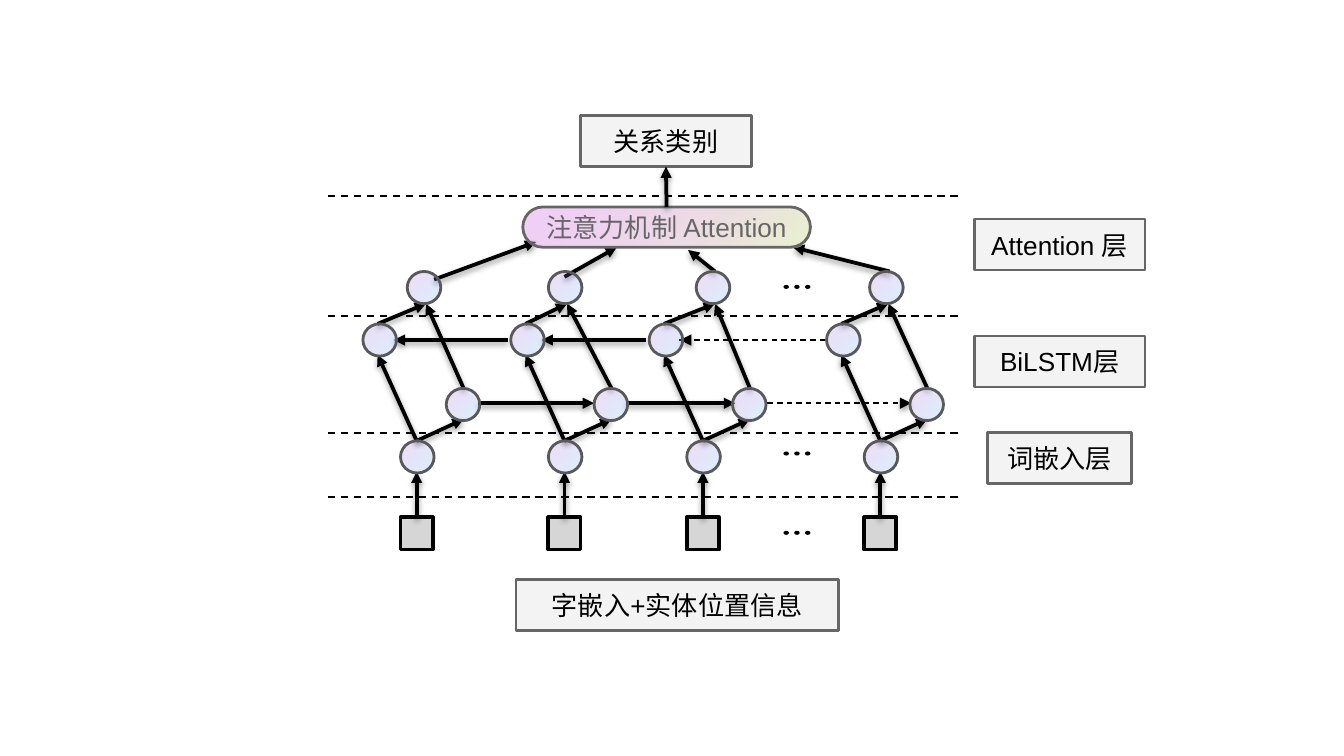
from lxml import etree
from pptx import Presentation
from pptx import util as u
from pptx.dml import color as hues
from pptx.enum import dml, shapes, text
from pptx.oxml import ns

SCALE = 9144
COLORS = {
    "ink": "000000", "token": "D6D6D6", "label": "F3F3F3", "edge": "666666",
    "ring": "595959", "sky": "69D4F4", "violet": "9F39D5",
    "lime": "E0EDBA", "pink": "DE87F1",
}
NODE_FILL = (("sky", 26), ("violet", 17))
PILL_FILL = (("lime", 71), ("pink", 40))
KINDS = shapes.MSO_SHAPE


def px(*lengths):
    """Turn px lengths into EMU."""
    return [length * SCALE for length in lengths]


def rgb(name):
    """Look up a named colour."""
    return hues.RGBColor.from_string(COLORS[name])


def child(parent, tag, **attributes):
    """Append a DrawingML element."""
    element = etree.SubElement(parent, ns.qn(f"a:{tag}"))
    for key, value in attributes.items():
        element.set(key, str(value))
    return element


def add_shape(slide, kind, box, fill, edge=None, width=1.5):
    """Add a shape with a plain colour or a two-stop translucent gradient."""
    shape = slide.shapes.add_shape(kind, *px(*box))
    shape.shadow.inherit = False
    if isinstance(fill, str):
        shape.fill.solid()
        shape.fill.fore_color.rgb = rgb(fill)
    else:
        shape.fill.gradient()
        shape.fill.gradient_angle = 135
        for stop, (name, _) in zip(shape.fill.gradient_stops, fill):
            stop.color.rgb = rgb(name)
        tints = shape.element.spPr.iter(ns.qn("a:srgbClr"))
        for tint, (_, opacity) in zip(tints, fill):
            child(tint, "alpha", val=opacity * 1000)
    if edge:
        shape.line.color.rgb = rgb(edge)
        shape.line.width = u.Pt(width)
    else:
        shape.line.fill.background()
    return shape


def add_line(slide, start, end, width=2, arrow=True):
    """Add a solid shadowed arrow or a plain dashed line."""
    line = slide.shapes.add_connector(shapes.MSO_CONNECTOR.STRAIGHT, *px(*start, *end))
    line.line.color.rgb = rgb("ink")
    line.line.width = u.Pt(width)
    properties = line.element.spPr
    if arrow:
        child(properties.find(ns.qn("a:ln")), "tailEnd", type="triangle")
    else:
        line.line.dash_style = dml.MSO_LINE.DASH
    effects = child(properties, "effectLst")
    if arrow:
        shadow = child(effects, "outerShdw", blurRad=40000, dist=20000,
                       dir=5400000, rotWithShape=0)
        child(child(shadow, "srgbClr", val=COLORS["ink"]), "alpha", val=38000)
    return line


def add_label(slide, box, wording, kind=KINDS.RECTANGLE, fill="label", color="ink"):
    """Add a framed box with one centred line of text."""
    label = add_shape(slide, kind, box, fill, "edge")
    frame = label.text_frame
    frame.word_wrap = True
    frame.vertical_anchor = text.MSO_ANCHOR.MIDDLE
    frame.margin_left = frame.margin_right = frame.margin_top = frame.margin_bottom = 10 * SCALE
    paragraph = frame.paragraphs[0]
    paragraph.alignment = text.PP_ALIGN.CENTER
    run = paragraph.add_run()
    run.text = wording
    run.font.name = "Arial"
    run.font.size = u.Pt(14)
    run.font.color.rgb = rgb(color)
    return label


def add_boundaries(slide, box):
    """Draw the dashed lines between the layers."""
    left, top, width = box
    for offset in (0, 89, 176, 224):
        y = top + offset
        add_line(slide, (left, y), (left + width, y), 1, arrow=False)


def add_chains(slide, box):
    """Draw the backward chain and, below it, the forward chain."""
    left, top = box
    backward, forward = top, top + 47
    for start, end, y in ((108, 23, backward), (211, 133, backward), (243, 236, backward),
                          (86, 172, forward), (196, 277, forward), (401, 408, forward)):
        add_line(slide, (left + start, y), (left + end, y))
    for start, end, y in ((344, 235, backward), (301, 407, forward)):
        add_line(slide, (left + start, y), (left + end, y), 0.75, arrow=False)


def add_column(slide, box, merge_shift, output, target):
    """Draw one token with its four nodes and the arrows between them."""
    left, top = box
    center, merge = left + 12, left + merge_shift
    token = add_shape(slide, KINDS.RECTANGLE, (left, top + 183, 24, 24), "token", "ink", 2)
    rise = add_line(slide, (center, top + 183), (center, top + 149))
    rise.begin_connect(token, 0)
    embedding = (center, top + 126)
    merged = (merge + 14, top + 24)
    for start, end in ((embedding, (center + 35, top + 110)),
                       (embedding, (center - 29, top + 62)),
                       ((center + 35, top + 87), merged),
                       ((center - 29, top + 39), merged),
                       (output, target)):
        add_line(slide, start, end)
    for x, y in ((left, 126), (left + 34, 87), (left - 28, 39), (merge, 0)):
        add_shape(slide, KINDS.OVAL, (x, top + y, 25, 24), NODE_FILL, "ring")


def add_ellipsis(slide, box):
    """Draw three small dots in a row."""
    left, top = box
    for step in range(3):
        add_shape(slide, KINDS.FLOWCHART_CONNECTOR, (left + 8 * step, top, 4, 3), "ink")


def add_head(slide, box):
    """Draw the attention pill, the result above it and their arrow."""
    left, top = box
    pill = add_label(slide, (left, top + 68, 214, 30), "注意力机制 Attention",
                     KINDS.ROUNDED_RECTANGLE, PILL_FILL, "edge")
    pill.adjustments[0] = 0.5
    result = add_label(slide, (left + 43, top, 127, 38), "关系类别")
    arrow = add_line(slide, (left + 107, top + 68), (left + 107, top + 38))
    arrow.begin_connect(pill, 0)
    arrow.end_connect(result, 2)


def add_layer_names(slide, box):
    """Name the layers at the right of the network."""
    left, top, width = box
    for offset, inset, wording in ((0, 0, "Attention 层"), (87, 0, "BiLSTM层"), (159, 10, "词嵌入层")):
        add_label(slide, (left + inset, top + offset, width - 2 * inset, 38), wording)


def main():
    """Build the network slide."""
    deck = Presentation()
    deck.slide_width = 1000 * SCALE
    deck.slide_height = deck.slide_width * 9 // 16
    slide = deck.slides.add_slide(deck.slide_layouts[6])
    add_boundaries(slide, (244, 146, 472))
    add_chains(slide, (270, 253))
    for left, merge_shift, output, target in (
            (298, 5, (323, 208), (399, 180)),
            (408, 0, (420, 206), (459, 184)),
            (511, 7, (532, 202), (512, 186)),
            (643, 4, (662, 202), (590, 184))):
        add_column(slide, (left, 202), merge_shift, output, target)
    for top in (212, 336, 395):
        add_ellipsis(slide, (583, top))
    add_head(slide, (389, 86))
    add_layer_names(slide, (725, 163, 127))
    add_label(slide, (384, 431, 240, 38), "字嵌入+实体位置信息")
    deck.save("out.pptx")


if __name__ == "__main__":
    main()
